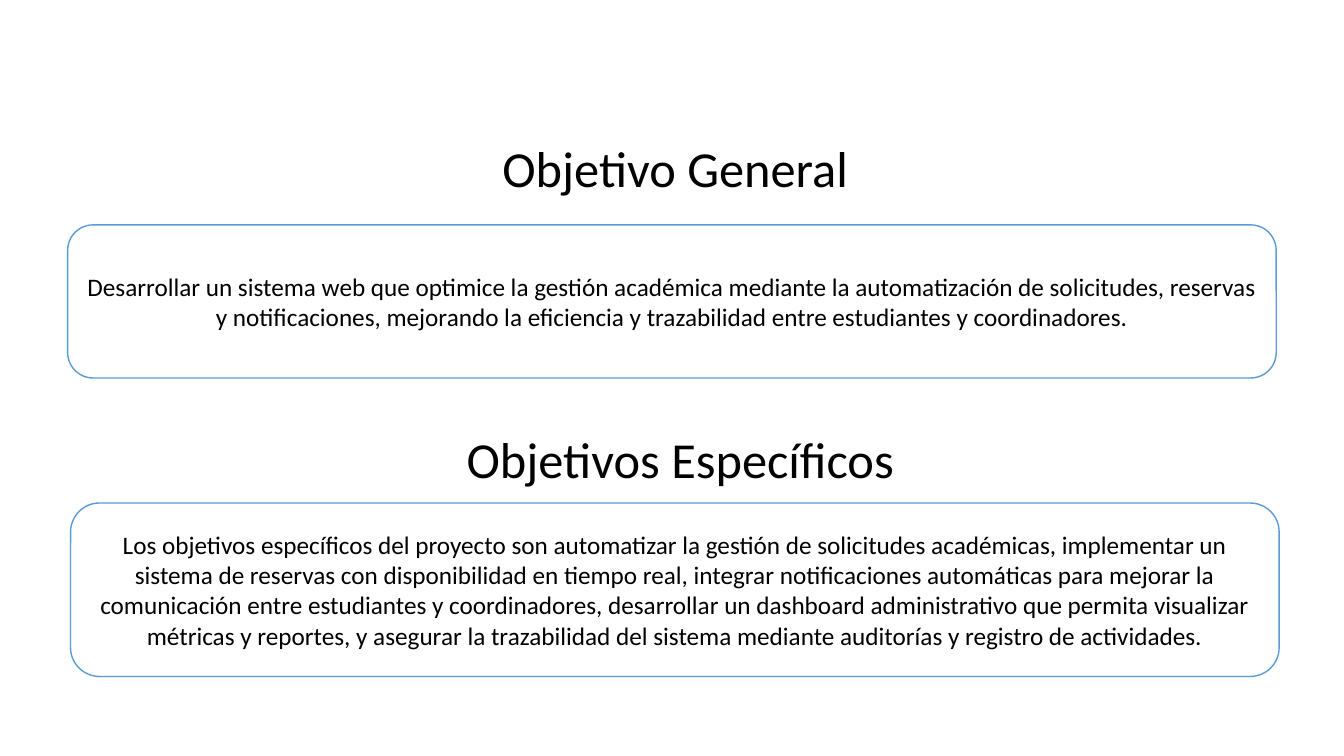
from pptx import Presentation
from pptx.dml.color import RGBColor
from pptx.enum.shapes import MSO_SHAPE
from pptx.enum.text import MSO_ANCHOR, MSO_AUTO_SIZE, PP_ALIGN
from pptx.util import Pt

BLACK = RGBColor(0x00, 0x00, 0x00)
WHITE = RGBColor(0xFF, 0xFF, 0xFF)
BLUE = RGBColor(0x5B, 0x9B, 0xD5)

GENERAL = (
    "Desarrollar un sistema web que optimice la gestión académica mediante la "
    "automatización de solicitudes, reservas y notificaciones, mejorando la "
    "eficiencia y trazabilidad entre estudiantes y coordinadores."
)
SPECIFIC = (
    "Los objetivos específicos del proyecto son automatizar la gestión de "
    "solicitudes académicas, implementar un sistema de reservas con disponibilidad "
    "en tiempo real, integrar notificaciones automáticas para mejorar la "
    "comunicación entre estudiantes y coordinadores, desarrollar un dashboard "
    "administrativo que permita visualizar métricas y reportes, y asegurar la "
    "trazabilidad del sistema mediante auditorías y registro de actividades."
)


def write_centred(shape, text, size):
    shape.text_frame.word_wrap = True
    para = shape.text_frame.paragraphs[0]
    para.alignment = PP_ALIGN.CENTER
    span = para.add_run()
    span.text = text
    span.font.name = "Calibri"
    span.font.size = Pt(size)
    span.font.color.rgb = BLACK


deck = Presentation()
deck.slide_width = Pt(960)
deck.slide_height = Pt(540)
page = deck.slides.add_slide(deck.slide_layouts[6])

for left, top, height, text in [
    (48.3, 160.6, 109.4, GENERAL),
    (50.4, 359.3, 123.9, SPECIFIC),
]:
    box = page.shapes.add_shape(
        MSO_SHAPE.ROUNDED_RECTANGLE, Pt(left), Pt(top), Pt(863.3), Pt(height)
    )
    box.shadow.inherit = False
    box.fill.solid()
    box.fill.fore_color.rgb = WHITE
    box.line.color.rgb = BLUE
    box.line.width = Pt(1)
    box.text_frame.vertical_anchor = MSO_ANCHOR.MIDDLE
    write_centred(box, text, 18)

for left, top, text in [
    (12.2, 94.3, "Objetivo General"),
    (15.8, 302.4, "Objetivos Específicos"),
]:
    heading = page.shapes.add_textbox(Pt(left), Pt(top), Pt(940.3), Pt(51))
    heading.text_frame.auto_size = MSO_AUTO_SIZE.SHAPE_TO_FIT_TEXT
    write_centred(heading, text, 36)

deck.save("out.pptx")
